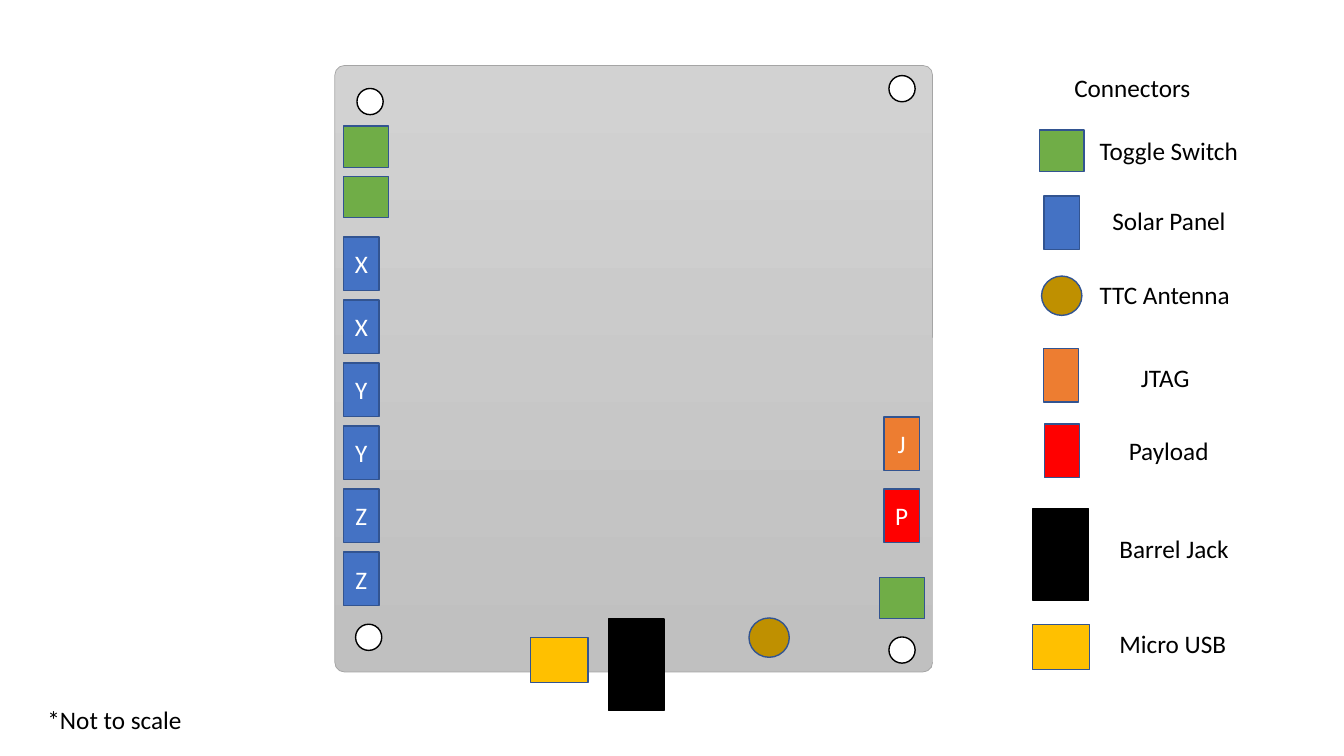
"""Draw a board layout diagram with a legend of its connectors."""
from dataclasses import dataclass

from pptx import Presentation
from pptx.dml.color import RGBColor
from pptx.enum.shapes import MSO_SHAPE as Preset
from pptx.enum.text import MSO_ANCHOR as Anchor, MSO_AUTO_SIZE as AutoSize, PP_ALIGN as Align
from pptx.shapes.autoshape import Shape
from pptx.slide import Slide
from pptx.text.text import TextFrame
from pptx.util import Pt

COLORS = {
    "board_top": "D2D2D2", "board_bottom": "C0C0C0", "board_edge": "A5A5A5",
    "edge": "325491", "black": "000000", "white": "FFFFFF",
    "green": "70AD47", "blue": "4472C4", "bronze": "BF9000",
    "orange": "ED7D31", "red": "FF0000", "amber": "FFC000",
}


@dataclass(frozen=True)
class Component:
    """Look of one kind of board component, sized in points."""
    fill: str
    width: float
    height: float
    edge: str = "edge"
    preset: Preset = Preset.RECTANGLE


@dataclass(frozen=True)
class Place:
    """A component set at a point on the slide, with an optional letter."""
    component: Component
    left: float
    top: float
    letter: str = ""


@dataclass(frozen=True)
class Entry:
    """A legend symbol and its label."""
    symbol: Place
    label: str
    left: float
    top: float
    width: float


HOLE = Component("white", 18.7, 18.7, "black", Preset.OVAL)
TOGGLE = Component("green", 32, 29.5)
SOLAR = Component("blue", 25.2, 38.2)
ANTENNA = Component("bronze", 28.8, 28.1, preset=Preset.OVAL)
JTAG = Component("orange", 25.2, 38.2)
PAYLOAD = Component("red", 25.2, 38.2)
BARREL = Component("black", 39.6, 65.5, "black")
USB = Component("amber", 41, 32.4)

LEFT_EDGE, SOLAR_TOP, SOLAR_PITCH = 245.5, 169.2, 45.05
RIGHT_COLUMN = 631.5

HOLES = [Place(HOLE, left, top) for left, top in
         [(255, 63.2), (635, 54), (254, 445.9), (635, 455)]]
SOLAR_PANELS = [Place(SOLAR, LEFT_EDGE, SOLAR_TOP + row * SOLAR_PITCH, axis)
                for row, axis in enumerate("XXYYZZ")]
CONNECTORS = [
    Place(TOGGLE, LEFT_EDGE, 90),
    Place(TOGGLE, LEFT_EDGE, 126),
    Place(TOGGLE, 628.3, 412.4),
    Place(ANTENNA, 535, 441.4),
    Place(PAYLOAD, RIGHT_COLUMN, 349.2, "P"),
    Place(JTAG, RIGHT_COLUMN, 298, "J"),
    Place(BARREL, 434.7, 442),
    Place(USB, 379, 455.2),
]
LEGEND = [
    Entry(Place(TOGGLE, 742.3, 92.8), "Toggle Switch", 778.3, 93, 114.5),
    Entry(Place(SOLAR, 745.7, 140), "Solar Panel", 787.5, 143, 96.5),
    Entry(Place(ANTENNA, 744, 197.2), "TTC Antenna", 778.3, 196, 108.7),
    Entry(Place(JTAG, 745.2, 249), "JTAG", 807.8, 255, 49.7),
    Entry(Place(PAYLOAD, 746, 303), "Payload", 799.2, 307.5, 72),
    Entry(Place(BARREL, 738, 363.4), "Barrel Jack", 792.5, 377.5, 93.6),
    Entry(Place(USB, 737.5, 446), "Micro USB", 792.5, 445, 91.4),
]


def rgb(name: str) -> RGBColor:
    """Look up a named colour."""
    return RGBColor.from_string(COLORS[name])


def add_words(frame: TextFrame, words: str, color: str, align: Align) -> None:
    """Write one 18 point run into a text frame."""
    line = frame.paragraphs[0]
    line.alignment = align
    run = line.add_run()
    run.text = words
    run.font.name = "Calibri"
    run.font.size = Pt(18)
    run.font.color.rgb = rgb(color)


def add_outlined(slide: Slide, preset: Preset, left: float, top: float,
                 width: float, height: float, edge: str, weight: float) -> Shape:
    """Add a shadowless preset shape with its outline set."""
    shape = slide.shapes.add_shape(preset, Pt(left), Pt(top), Pt(width), Pt(height))
    shape.shadow.inherit = False
    shape.line.color.rgb = rgb(edge)
    shape.line.width = Pt(weight)
    return shape


def add_board(slide: Slide) -> None:
    """Add the grey board shaded from top to bottom."""
    board = add_outlined(slide, Preset.ROUNDED_RECTANGLE, 239.2, 46.8, 427, 433.2,
                         "board_edge", 0.5)
    board.adjustments[0] = 0.016
    board.fill.gradient()
    board.fill.gradient_angle = 270
    for stop, color in zip(board.fill.gradient_stops, ("board_top", "board_bottom")):
        stop.color.rgb = rgb(color)


def add_component(slide: Slide, place: Place) -> None:
    """Add one component with its letter, if any."""
    look = place.component
    shape = add_outlined(slide, look.preset, place.left, place.top,
                         look.width, look.height, look.edge, 1)
    shape.fill.solid()
    shape.fill.fore_color.rgb = rgb(look.fill)
    if place.letter:
        shape.text_frame.vertical_anchor = Anchor.MIDDLE
        add_words(shape.text_frame, place.letter, "white", Align.CENTER)


def add_label(slide: Slide, words: str, left: float, top: float, width: float) -> None:
    """Add a single-line black label."""
    label = slide.shapes.add_textbox(Pt(left), Pt(top), Pt(width), Pt(29))
    label.text_frame.word_wrap = False
    label.text_frame.auto_size = AutoSize.SHAPE_TO_FIT_TEXT
    add_words(label.text_frame, words, "black", Align.LEFT)


def main() -> None:
    """Build and save the slide."""
    deck = Presentation()
    deck.slide_width, deck.slide_height = Pt(960), Pt(540)
    slide = deck.slides.add_slide(deck.slide_layouts[6])
    add_board(slide)
    for place in HOLES + SOLAR_PANELS + CONNECTORS:
        add_component(slide, place)
    add_label(slide, "Connectors", 760.3, 48, 98.6)
    for entry in LEGEND:
        add_component(slide, entry.symbol)
        add_label(slide, entry.label, entry.left, entry.top, entry.width)
    add_label(slide, "*Not to scale", 26.8, 499.5, 111.6)
    deck.save("out.pptx")


main()
